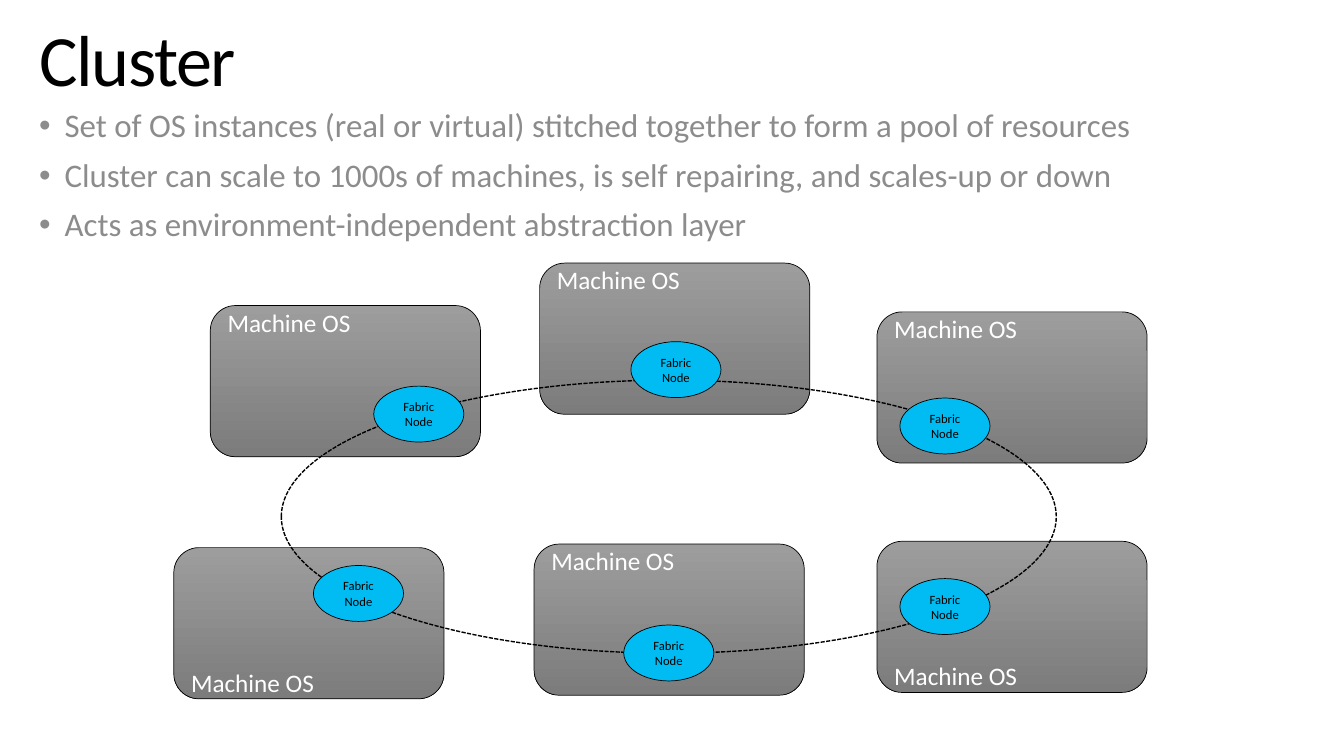
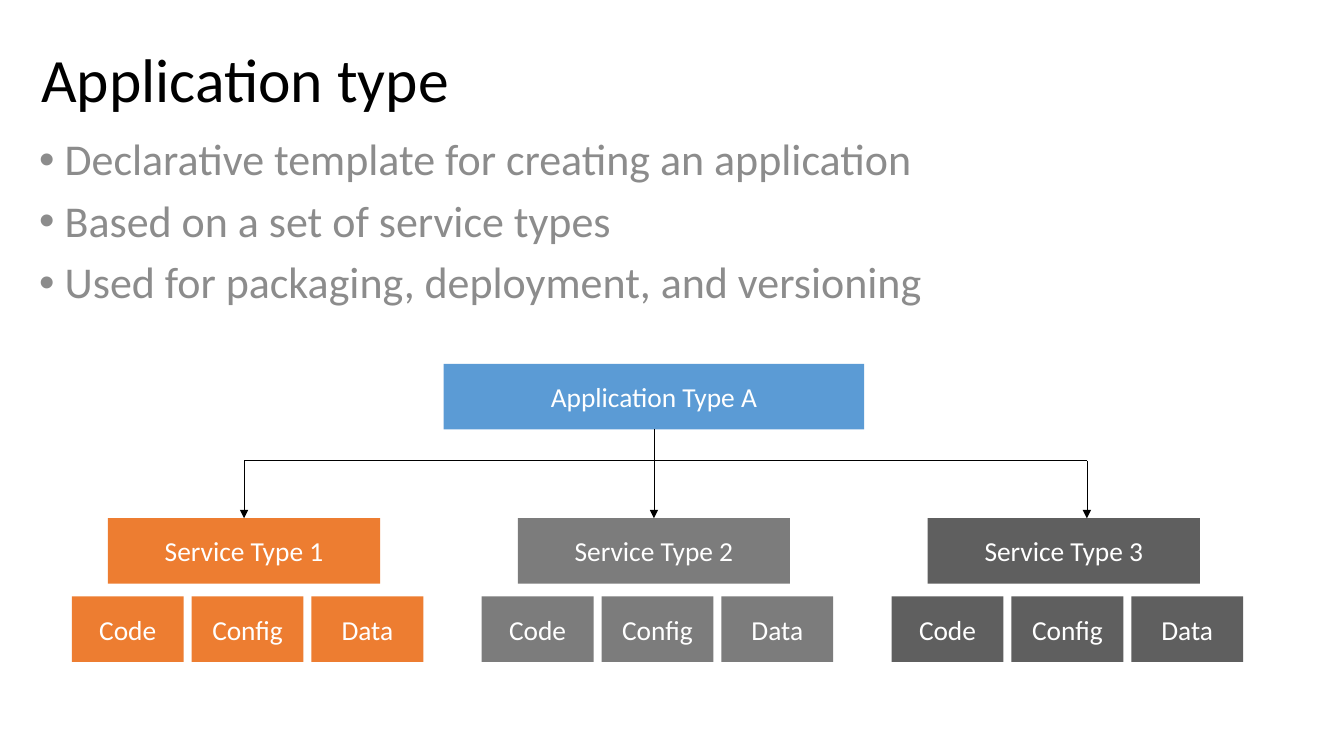
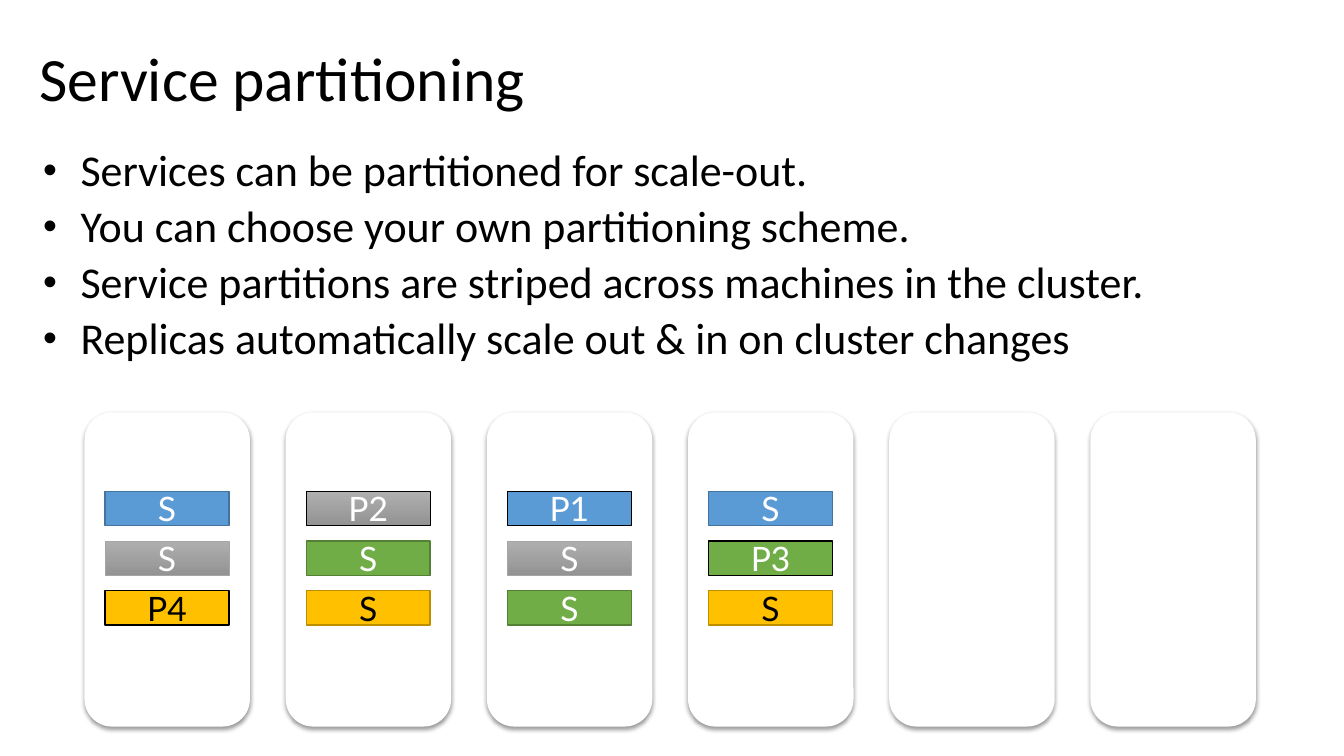
"""Build three slides on clusters, application types and service partitioning."""
from pptx import Presentation
from pptx import util as u
from pptx.dml import color
from pptx.enum import dml, shapes, text
from pptx.oxml import ns, xmlchemy

BLACK = color.RGBColor(0x00, 0x00, 0x00)
WHITE = color.RGBColor(0xFF, 0xFF, 0xFF)
BODY_GRAY = color.RGBColor(0x8C, 0x8C, 0x8C)
MID_GRAY = color.RGBColor(0x7C, 0x7C, 0x7C)
DARK_GRAY = color.RGBColor(0x5F, 0x5F, 0x5F)
CYAN = color.RGBColor(0x00, 0xBC, 0xF2)
BLUE = color.RGBColor(0x5B, 0x9B, 0xD5)
BLUE_EDGE = color.RGBColor(0x43, 0x73, 0x9E)
ORANGE = color.RGBColor(0xED, 0x7D, 0x31)
GREEN = color.RGBColor(0x70, 0xAD, 0x47)
GREEN_EDGE = color.RGBColor(0x53, 0x80, 0x35)
GOLD = color.RGBColor(0xFF, 0xC0, 0x00)
GOLD_EDGE = color.RGBColor(0xBD, 0x8E, 0x00)
SILVER = color.RGBColor(0xA5, 0xA5, 0xA5)
SILVER_FADE = (color.RGBColor(0xAF, 0xAF, 0xAF), color.RGBColor(0x93, 0x93, 0x93))
OS_FADE = (color.RGBColor(0x9D, 0x9D, 0x9D), MID_GRAY)

BODY_FONT = "Calibri"
CHIP_FONT = "Lato"
LEFT, CENTER = text.PP_ALIGN.LEFT, text.PP_ALIGN.CENTER
TOP, MIDDLE, BOTTOM = text.MSO_ANCHOR.TOP, text.MSO_ANCHOR.MIDDLE, text.MSO_ANCHOR.BOTTOM
RECTANGLE = shapes.MSO_SHAPE.RECTANGLE
ROUNDED = shapes.MSO_SHAPE.ROUNDED_RECTANGLE
OVAL = shapes.MSO_SHAPE.OVAL
DEFAULT_INSETS = (0.25, 0.13)
WIDE_INSETS = (0.41, 0.25)
TITLE_ONLY = 5


def box(left, top, width, height):
    """Return a position and size in centimetres as lengths."""
    return u.Cm(left), u.Cm(top), u.Cm(width), u.Cm(height)


def set_frame(frame, anchor, insets=DEFAULT_INSETS):
    """Set wrapping, anchor and the horizontal and vertical insets of a frame."""
    frame.word_wrap = True
    frame.auto_size = text.MSO_AUTO_SIZE.NONE
    frame.vertical_anchor = anchor
    frame.margin_left = frame.margin_right = u.Cm(insets[0])
    frame.margin_top = frame.margin_bottom = u.Cm(insets[1])


def write_lines(frame, lines, size, ink, align=LEFT, font=BODY_FONT):
    """Write each line as a paragraph and return the paragraphs."""
    for index, line in enumerate(lines):
        paragraph = frame.add_paragraph() if index else frame.paragraphs[0]
        paragraph.alignment = align
        run = paragraph.add_run()
        run.text = line
        run.font.name = font
        run.font.size = u.Pt(size)
        run.font.color.rgb = ink
    return frame.paragraphs


def add_titled_slide(presentation, title, place, size=44, anchor=MIDDLE, insets=DEFAULT_INSETS):
    """Add a title-only slide and format its title."""
    slide = presentation.slides.add_slide(presentation.slide_layouts[TITLE_ONLY])
    shape = slide.shapes.title
    shape.left, shape.top, shape.width, shape.height = box(*place)
    set_frame(shape.text_frame, anchor, insets)
    paragraph = write_lines(shape.text_frame, [title], size, BLACK)[0]
    paragraph.line_spacing = 0.9
    return slide


def add_bullets(slide, place, lines, size, ink, indent=0.64, before=10, anchor=MIDDLE,
                insets=DEFAULT_INSETS, bullet_scale=100):
    """Add a bulleted list with a hanging indent."""
    frame = slide.shapes.add_textbox(*box(*place)).text_frame
    set_frame(frame, anchor, insets)
    for paragraph in write_lines(frame, lines, size, ink):
        paragraph.line_spacing = 0.9
        paragraph.space_before = u.Pt(before)
        properties = paragraph._p.get_or_add_pPr()
        properties.set("marL", str(u.Cm(indent)))
        properties.set("indent", str(-u.Cm(indent)))
        for tag, key, value in (("a:buSzPct", "val", str(bullet_scale * 1000)),
                                ("a:buFont", "typeface", "Arial"),
                                ("a:buChar", "char", "•")):
            bullet = xmlchemy.OxmlElement(tag)
            bullet.set(key, value)
            properties.append(bullet)


def add_shape(slide, kind, place, fill=None, edge=None, weight=0.5):
    """Add a preset shape with a plain, two-colour or empty fill."""
    shape = slide.shapes.add_shape(kind, *box(*place))
    shape.shadow.inherit = False
    if fill is None:
        shape.fill.background()
    elif isinstance(fill, color.RGBColor):
        shape.fill.solid()
        shape.fill.fore_color.rgb = fill
    else:
        shape.fill.gradient()
        shape.fill.gradient_angle = 270
        for stop, shade in zip(shape.fill.gradient_stops, fill):
            stop.color.rgb = shade
    if edge is None:
        shape.line.fill.background()
    else:
        shape.line.color.rgb = edge
        shape.line.width = u.Pt(weight)
    return shape


def add_label_box(slide, place, label, fill):
    """Add a borderless rectangle with a centred label."""
    shape = add_shape(slide, RECTANGLE, place, fill)
    set_frame(shape.text_frame, MIDDLE, (0, 0.13))
    write_lines(shape.text_frame, [label], 19.6, WHITE, CENTER)
    return shape


def add_line(slide, start, end, arrow=False):
    """Add a thin black line, with an arrowhead at its end if wanted."""
    line = slide.shapes.add_connector(shapes.MSO_CONNECTOR.STRAIGHT,
                                      *(u.Cm(value) for value in (*start, *end)))
    line.line.color.rgb = BLACK
    line.line.width = u.Pt(0.5)
    if arrow:
        head = xmlchemy.OxmlElement("a:tailEnd")
        head.set("type", "triangle")
        line.line._get_or_add_ln().append(head)
    line._element.spPr.append(xmlchemy.OxmlElement("a:effectLst"))
    return line


def add_os_box(slide, left, top, anchor):
    """Add a machine with its label close to the top or bottom edge."""
    shape = add_shape(slide, ROUNDED, (left, top, 6.81, 3.81), OS_FADE, BLACK)
    set_frame(shape.text_frame, anchor, (0.25, -0.15))
    write_lines(shape.text_frame, ["Machine OS"], 18, WHITE)


def add_node(slide, left, top):
    """Add a node of the ring."""
    shape = add_shape(slide, OVAL, (left, top, 2.27, 1.41), CYAN, BLACK)
    set_frame(shape.text_frame, MIDDLE)
    write_lines(shape.text_frame, ["Fabric", "Node"], 9, BLACK, CENTER)


def add_card(slide, left, top):
    """Add a white machine card with a soft shadow below it."""
    shape = add_shape(slide, ROUNDED, (left, top, 4.17, 7.92), WHITE)
    shadow = xmlchemy.OxmlElement("a:outerShdw")
    for key, value in (("blurRad", u.Pt(3)), ("dist", u.Pt(2)), ("dir", 90 * 60000),
                       ("rotWithShape", 0)):
        shadow.set(key, str(value))
    tint = xmlchemy.OxmlElement("a:srgbClr")
    tint.set("val", str(BLACK))
    alpha = xmlchemy.OxmlElement("a:alpha")
    alpha.set("val", "40000")
    tint.append(alpha)
    shadow.append(tint)
    shape._element.spPr.find(ns.qn("a:effectLst")).append(shadow)


def add_chip(slide, left, top, label, style):
    """Add a replica; primaries have a black edge."""
    fill, edge, weight, ink = style
    shape = add_shape(slide, RECTANGLE, (left, top, 3.12, 0.87), fill,
                      BLACK if label.startswith("P") else edge, weight)
    set_frame(shape.text_frame, MIDDLE)
    write_lines(shape.text_frame, [label], 24, ink, CENTER, CHIP_FONT)


def build_cluster(presentation):
    """Build the slide with the ring of machines."""
    slide = add_titled_slide(presentation, "Cluster", (0.58, 0.36, 32.39, 2.49),
                             51.6, TOP, WIDE_INSETS)
    title_run = slide.shapes.title.text_frame.paragraphs[0].runs[0]
    title_run.font._element.set("spc", "-100")
    for left, top, anchor in ((5.3, 7.7, TOP), (4.38, 13.8, BOTTOM), (22.1, 13.64, BOTTOM),
                              (13.6, 6.63, TOP), (22.1, 7.86, TOP), (13.46, 13.71, TOP)):
        add_os_box(slide, left, top, anchor)
    ring = add_shape(slide, OVAL, (7.09, 9.58, 19.53, 6.88), None, BLACK, 1)
    ring.line.dash_style = dml.MSO_LINE.SQUARE_DOT
    for left, top in ((9.42, 9.73), (7.9, 14.25), (15.72, 15.75),
                      (15.9, 8.61), (22.68, 10.03), (22.68, 14.58)):
        add_node(slide, left, top)
    add_bullets(slide, (0.58, 2.69, 34.67, 3.53), [
        "Set of OS instances (real or virtual) stitched together to form a pool of resources",
        "Cluster can scale to 1000s of machines, is self repairing, and scales-up or down",
        "Acts as environment-independent abstraction layer",
    ], 23.5, BODY_GRAY, insets=WIDE_INSETS)


def build_application_type(presentation):
    """Build the slide with the tree of service types."""
    slide = add_titled_slide(presentation, "Application type", (0.79, 0.25, 29.21, 3.68))
    add_bullets(slide, (0.74, 3.3, 32.36, 4.65), [
        "Declarative template for creating an application",
        "Based on a set of service types",
        "Used for packaging, deployment, and versioning",
    ], 31.4, BODY_GRAY)
    application = add_label_box(slide, (11.18, 9.17, 10.6, 1.65), "Application Type A", BLUE)
    services = []
    for index, fill in enumerate((ORANGE, MID_GRAY, DARK_GRAY)):
        left = 2.72 + index * 10.33
        services.append(add_label_box(slide, (left, 13.06, 6.86, 1.65),
                                      f"Service Type {index + 1}", fill))
        for column, part in enumerate(("Code", "Config", "Data")):
            add_label_box(slide, (left - 0.91 + column * 3.02, 15.03, 2.82, 1.65), part, fill)
    bus_top, service_top, first, middle, last = 11.61, 13.06, 6.15, 16.48, 27.39
    add_line(slide, (first, bus_top), (last, bus_top))
    add_line(slide, (first, bus_top), (first, service_top), True).end_connect(services[0], 0)
    trunk = add_line(slide, (middle, 10.82), (middle, service_top), True)
    trunk.begin_connect(application, 2)
    trunk.end_connect(services[1], 0)
    add_line(slide, (last, bus_top), (last, service_top), True)


def build_partitioning(presentation):
    """Build the slide with replicas spread over machines."""
    slide = add_titled_slide(presentation, "Service partitioning", (0.74, 0.81, 32.39, 2.49))
    add_bullets(slide, (0.84, 3.61, 33.32, 5.08), [
        "Services can be partitioned for scale-out.",
        "You can choose your own partitioning scheme.",
        "Service partitions are striped across machines in the cluster.",
        "Replicas automatically scale out & in on cluster changes",
    ], 31.4, BLACK, indent=0.94, before=6, anchor=TOP, bullet_scale=90)
    blue = (BLUE, BLUE_EDGE, 1, WHITE)
    silver = (SILVER_FADE, SILVER, 0.5, WHITE)
    green = (GREEN, GREEN_EDGE, 1, WHITE)
    gold = (GOLD, GOLD_EDGE, 1, BLACK)
    machines = (
        (("S", blue), ("S", silver), ("P4", gold)),
        (("P2", silver), ("S", green), ("S", gold)),
        (("P1", blue), ("S", silver), ("S", green)),
        (("S", blue), ("P3", green), ("S", gold)),
        (),
        (),
    )
    for column, replicas in enumerate(machines):
        left = 2.13 + column * 5.07
        add_card(slide, left, 10.39)
        for row, (label, style) in enumerate(replicas):
            add_chip(slide, left + 0.52, 12.38 + row * 1.25, label, style)


def main():
    """Build and save the presentation."""
    presentation = Presentation()
    presentation.slide_width, presentation.slide_height = u.Cm(33.87), u.Cm(19.05)
    build_cluster(presentation)
    build_application_type(presentation)
    build_partitioning(presentation)
    presentation.save("out.pptx")


if __name__ == "__main__":
    main()
